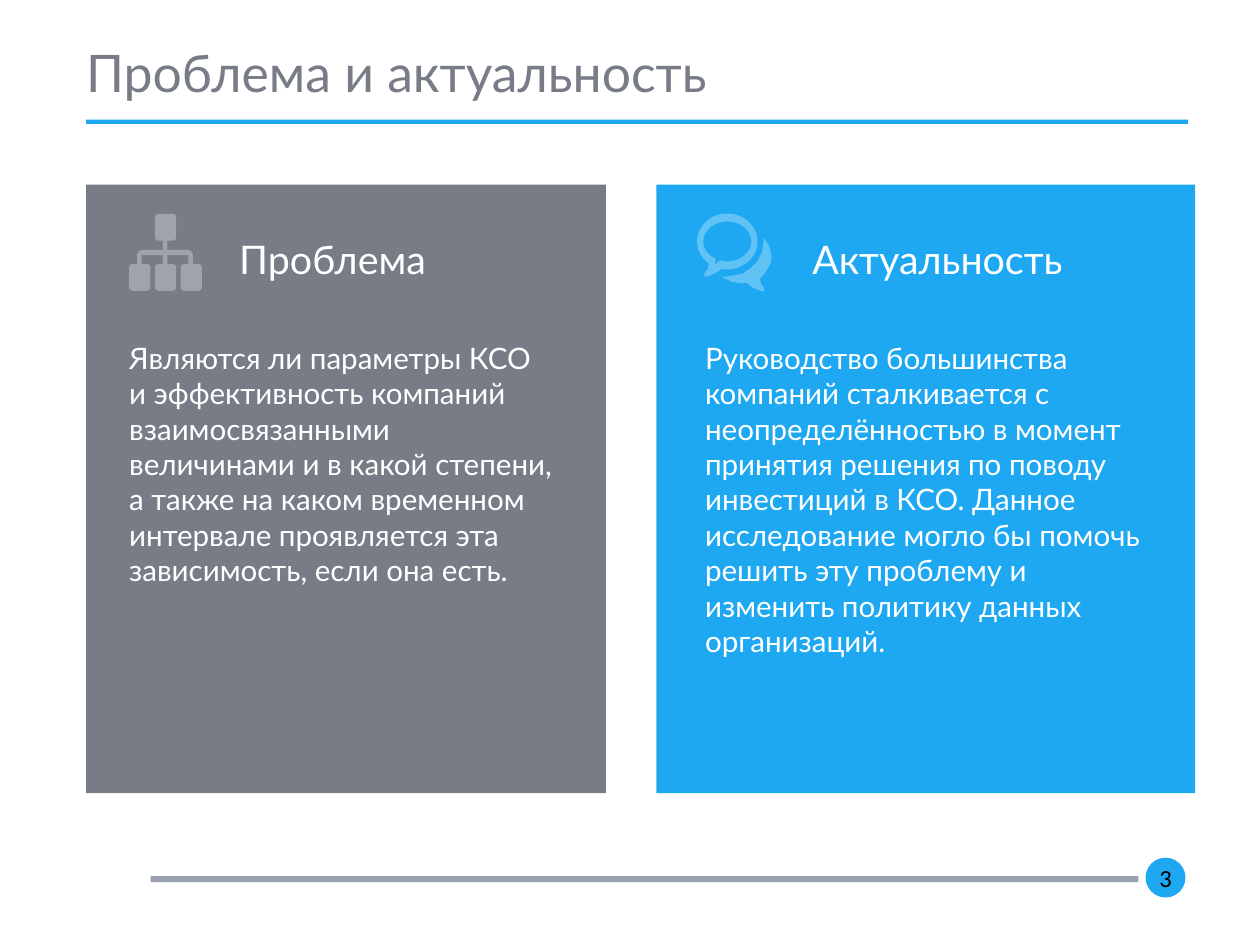
from math import cos, sin, radians
from pptx import Presentation
from pptx.dml.color import RGBColor
from pptx.enum.shapes import MSO_SHAPE
from pptx.enum.text import MSO_ANCHOR, PP_ALIGN
from pptx.util import Pt
from lxml.etree import SubElement
from pptx.oxml.ns import qn

HUES = {"gray": "777C87", "blue": "1EA8F2", "rule": "9AA1AE",
        "white": "FFFFFF", "black": "000000"}

deck = Presentation()
deck.slide_width, deck.slide_height = Pt(1024), Pt(768)
slide = deck.slides.add_slide(deck.slide_layouts[6])
shapes = slide.shapes


def paint(shape, hue):
    shape.shadow.inherit = False
    shape.fill.solid()
    shape.fill.fore_color.rgb = RGBColor.from_string(HUES[hue])
    shape.line.fill.background()


def write(shape, text, size, hue, font="Lato", before=0):
    frame = shape.text_frame
    frame.text = text
    frame.word_wrap = True
    frame.margin_left = frame.margin_right = 0
    frame.margin_top = frame.margin_bottom = 0
    line = frame.paragraphs[0]
    line.space_before = Pt(before)
    face = line.runs[0].font
    face.name, face.size = font, Pt(size)
    face.color.rgb = RGBColor.from_string(HUES[hue])
    return frame


title = shapes.add_textbox(Pt(70), Pt(28.8), Pt(601), Pt(58.3))
frame = write(title, "Проблема и актуальность", 42, "gray")
frame.vertical_anchor = MSO_ANCHOR.MIDDLE

for left, top, width, height, hue in [
    (70, 97.2, 895.5, 3.6, "blue"),
    (122.4, 712, 802.8, 5, "rule"),
]:
    bar = shapes.add_shape(MSO_SHAPE.RECTANGLE, Pt(left), Pt(top), Pt(width), Pt(height))
    paint(bar, hue)

badge = shapes.add_shape(MSO_SHAPE.OVAL, Pt(931), Pt(697), Pt(32.4), Pt(32.4))
paint(badge, "blue")
frame = write(badge, "3", 20, "black", "Calibri")
frame.vertical_anchor = MSO_ANCHOR.MIDDLE
frame.paragraphs[0].alignment = PP_ALIGN.CENTER

tree = [[
    (6.5, 41), (6.5, 33), (8, 30.8), (10.8, 29.5), (27.4, 29.5), (27.4, 22.3),
    (31, 22.3), (31, 29.5), (47.6, 29.5), (50.4, 30.8), (51.8, 33), (51.8, 41),
    (48.2, 41), (48.2, 33.8), (31, 33.8), (31, 41), (27.4, 41), (27.4, 33.8),
    (10.1, 33.8), (10.1, 41),
]]
wide, tall, curve = 17.3, 21.8, 3
for left, top in [(20.9, 0.3), (0, 41), (20.9, 41), (41.8, 41)]:
    box = []
    for turn, x, y in [(180, curve, curve), (270, wide - curve, curve),
                       (0, wide - curve, tall - curve), (90, curve, tall - curve)]:
        for step in range(0, 91, 15):
            angle = radians(turn + step)
            box.append((left + x + curve * cos(angle), top + y + curve * sin(angle)))
    tree.append(box)

chat = []
for wide, tall, start, end, tail in [
    (24.5, 22.7, 128, 460, [(15.1, 48.2), (9.4, 51.1), (5.8, 51.1),
                            (5.8, 49), (8.6, 45.4)]),
    (19.5, 16.2, 119, 467, [(16.6, 39.6), (14.4, 41.8)]),
]:
    ring = [(24.5 + wide * cos(radians(turn)), 22.7 + tall * sin(radians(turn)))
            for turn in range(start, end + 1, 4)]
    chat.append(ring + tail)
chat.append([
    (54, 19.4), (58.3, 25.9), (60.5, 34.6), (59.8, 40.3), (57.6, 44.6), (54.7, 49),
    (51.1, 52.6), (51.8, 56.9), (54.7, 61.2), (54, 63.4), (51.1, 62.6), (45.4, 60.5),
    (40.3, 56.2), (36, 56.9), (28.1, 55.4), (20.2, 51.8), (24.5, 51.1), (36.7, 49),
    (43.2, 44.6), (49, 38.9), (52.6, 31.7), (54, 22.3),
])

problem = ("Являются ли параметры КСО и эффективность компаний взаимосвязанными "
           "величинами и в какой степени, а также на каком временном интервале "
           "проявляется эта зависимость, если она есть.")
value = ("Руководство большинства компаний сталкивается с неопределённостью в момент "
         "принятия решения по поводу инвестиций в КСО. Данное исследование могло бы "
         "помочь решить эту проблему и изменить политику данных организаций.")

for left, width, hue, head, inset, span, body, start, room, deep, icon, edge in [
    (70, 422.5, "gray", "Проблема", 194.4, 306, problem, 105, 345.6, 335, tree, 105),
    (533.5, 437.8, "blue", "Актуальность", 660.2, 316.8, value, 573, 358, 135.4, chat, 566.6),
]:
    card = shapes.add_shape(MSO_SHAPE.RECTANGLE, Pt(left), Pt(150), Pt(width), Pt(494.6))
    paint(card, hue)
    name = shapes.add_textbox(Pt(inset), Pt(191.5), Pt(span), Pt(44))
    write(name, head, 32, "white", before=12)
    note = shapes.add_textbox(Pt(start), Pt(276), Pt(room), Pt(deep))
    write(note, body, 24, "white", before=12)

    x, y = icon[0][0]
    pen = shapes.build_freeform(x * 10, y * 10, Pt(0.1))
    for ring in icon:
        dots = [(x * 10, y * 10) for x, y in ring]
        pen.move_to(*dots[0])
        pen.add_line_segments(dots[1:], close=True)
    sign = pen.convert_to_shape(Pt(edge), Pt(173.5))
    paint(sign, "white")
    for tint in sign.element.spPr.iterchildren(qn("a:solidFill")):
        SubElement(tint[0], qn("a:alpha"), val="30000")

deck.save("out.pptx")
